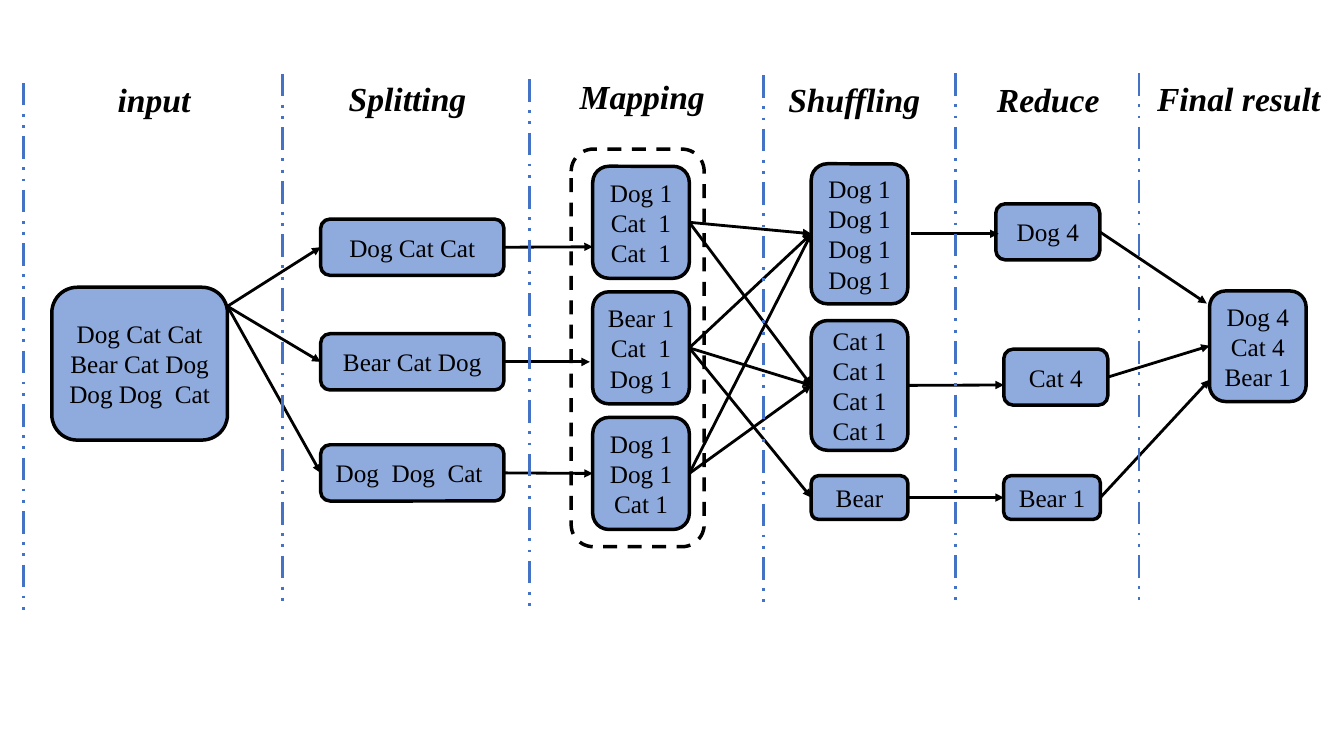
"""Builds a slide that follows a word count through the MapReduce stages."""
from lxml import etree
from pptx import Presentation
from pptx.dml.color import RGBColor
from pptx.enum.dml import MSO_LINE
from pptx.enum.shapes import MSO_CONNECTOR, MSO_SHAPE
from pptx.enum.text import MSO_ANCHOR, MSO_AUTO_SIZE, PP_ALIGN
from pptx.oxml.ns import qn
from pptx.util import Pt

ROUNDED, STRAIGHT = MSO_SHAPE.ROUNDED_RECTANGLE, MSO_CONNECTOR.STRAIGHT
DASH, DASH_DOT_DOT = MSO_LINE.DASH, MSO_LINE.DASH_DOT_DOT
CENTER, MIDDLE, FIT = PP_ALIGN.CENTER, MSO_ANCHOR.MIDDLE, MSO_AUTO_SIZE.SHAPE_TO_FIT_TEXT
BLACK, WHITE, BOX_BLUE, DIVIDER_BLUE = "000000", "FFFFFF", "8FAADC", "4472C4"
BOX_TEXT = {"name": "Times New Roman", "size": Pt(18)}
HEADING_TEXT = {"name": "Times New Roman", "size": Pt(24), "bold": True, "italic": True}
BOX_FRAME = {"vertical_anchor": MIDDLE, "word_wrap": True,
             "margin_top": 0, "margin_bottom": 0}
HEADING_FRAME = {"word_wrap": False, "auto_size": FIT}

HEADINGS = [("input", 77, 52.6, 67), ("Splitting", 242, 52.2, 99.4),
            ("Mapping", 407, 50.6, 105), ("Shuffling", 556, 52.6, 109.4),
            ("Reduce", 705, 52.6, 88.6), ("Final result", 819.4, 52, 132.5)]
HEADING_HEIGHT = 36.3
DIVIDERS = [(16.8, 59.2), (201.7, 52.8), (378.2, 56.5),
            (545.3, 53.8), (682.5, 52.4), (813.6, 52.4)]
DIVIDER_HEIGHT = 379
MAPPING_FRAME = (408, 106.5, 95, 284)

STAGES = {
    "input": [(37, 205.2, 125.5, 109.2, ["Dog Cat Cat", "Bear Cat Dog", "Dog Dog  Cat "])],
    "split": [(229, top, 131, 40.2, [words]) for top, words in
              [(156.5, "Dog Cat Cat"), (238.4, "Bear Cat Dog"), (317.7, "Dog  Dog  Cat ")]],
    "map": [(423.4, 118.8 + 89.7 * row, 69, 80, pairs) for row, pairs in enumerate(
        [["Dog 1", "Cat  1", "Cat  1"], ["Bear 1", "Cat  1", "Dog 1"],
         ["Dog 1", "Dog 1", "Cat 1"]])],
    "shuffle": [(579.5, top, 69, height, pairs) for top, height, pairs in
                [(117, 100, ["Dog 1"] * 4), (229, 92.6, ["Cat 1"] * 4),
                 (339.8, 31.2, ["Bear"])]],
    "reduce": [(711.3, 145.6, 74.3, 40, ["Dog 4"]), (717, 249.4, 74.3, 40, ["Cat 4"]),
               (717, 339.8, 69, 31.2, ["Bear 1"])],
    "final": [(864, 207.8, 69, 79, ["Dog 4", "Cat 4", "Bear 1"])],
}
LINKS = {
    ("input", "split"): [(0, 0), (0, 1), (0, 2)],
    ("split", "map"): [(0, 0), (1, 1), (2, 2)],
    ("map", "shuffle"): [(0, 0), (1, 0), (2, 0), (0, 1), (1, 1), (2, 1), (1, 2)],
    ("shuffle", "reduce"): [(0, 0), (1, 1), (2, 2)],
    ("reduce", "final"): [(0, 0), (1, 0), (2, 0)],
}
START_SHIFTS = {"input": [(0, -41), (0, 0), (-4, 39)], "shuffle": [(2, 0), (0, 0), (0, 0)]}
END_SHIFTS = {"split": [(0, 0)] * 3, "map": [(0, 17.5), (-2, 10), (0, 0)],
              "reduce": [(2, 1.4), (0, 5.6), (0, 0)]}
FINAL_SHIFTS = [(-2, -30.5), (0, -0.3), (0, 24)]


def color(value):
    return RGBColor.from_string(value)


def set_all(target, values):
    for name, value in values.items():
        setattr(target, name, value)


def write(shape, lines, frame_format, font_format, alignment=None):
    frame = shape.text_frame
    set_all(frame, frame_format)
    for number, line in enumerate(lines):
        paragraph = frame.add_paragraph() if number else frame.paragraphs[0]
        paragraph.alignment = alignment
        run = paragraph.add_run()
        run.text = line
        set_all(run.font, font_format)
        run.font.color.rgb = color(BLACK)


def add_box(left, top, width, height, fill, dash=None):
    shape = slide.shapes.add_shape(ROUNDED, Pt(left), Pt(top), Pt(width), Pt(height))
    shape.shadow.inherit = False
    shape.fill.solid()
    shape.fill.fore_color.rgb = color(fill)
    shape.line.color.rgb = color(BLACK)
    set_all(shape.line, {"width": Pt(2.5), "dash_style": dash})
    return shape


def add_line(start, end, line_color, dash=None, arrow=False):
    points = [Pt(value) for value in (*start, *end)]
    connector = slide.shapes.add_connector(STRAIGHT, *points)
    connector.line.color.rgb = color(line_color)
    set_all(connector.line, {"width": Pt(2), "dash_style": dash})
    properties = connector.line._get_or_add_ln()
    if arrow:
        etree.SubElement(properties, qn("a:tailEnd"), type="triangle")
    etree.SubElement(properties.getparent(), qn("a:effectLst"))


def link(source_stage, source_row, target_stage, target_row):
    left, top, width, height, _ = STAGES[source_stage][source_row]
    shift_x, shift_y = START_SHIFTS.get(source_stage, [(0, 0)] * 3)[source_row]
    start = left + width + shift_x, top + height / 2 + shift_y
    left, top, _, height, _ = STAGES[target_stage][target_row]
    if target_stage == "final":
        shift_x, shift_y = FINAL_SHIFTS[source_row]
    else:
        shift_x, shift_y = END_SHIFTS.get(target_stage, [(0, 0)] * 3)[target_row]
    add_line(start, (left + shift_x, top + height / 2 + shift_y), BLACK, arrow=True)


presentation = Presentation()
set_all(presentation, {"slide_width": Pt(960), "slide_height": Pt(540)})
slide = presentation.slides.add_slide(presentation.slide_layouts[6])

add_box(*MAPPING_FRAME, WHITE, DASH)
for boxes in STAGES.values():
    for *place, lines in boxes:
        write(add_box(*place, BOX_BLUE), lines, BOX_FRAME, BOX_TEXT, CENTER)
for (source_stage, target_stage), pairs in LINKS.items():
    for source_row, target_row in pairs:
        link(source_stage, source_row, target_stage, target_row)
for left, top in DIVIDERS:
    add_line((left, top), (left, top + DIVIDER_HEIGHT), DIVIDER_BLUE, DASH_DOT_DOT)
for heading, left, top, width in HEADINGS:
    label = slide.shapes.add_textbox(Pt(left), Pt(top), Pt(width), Pt(HEADING_HEIGHT))
    write(label, [heading], HEADING_FRAME, HEADING_TEXT)

presentation.save("out.pptx")
